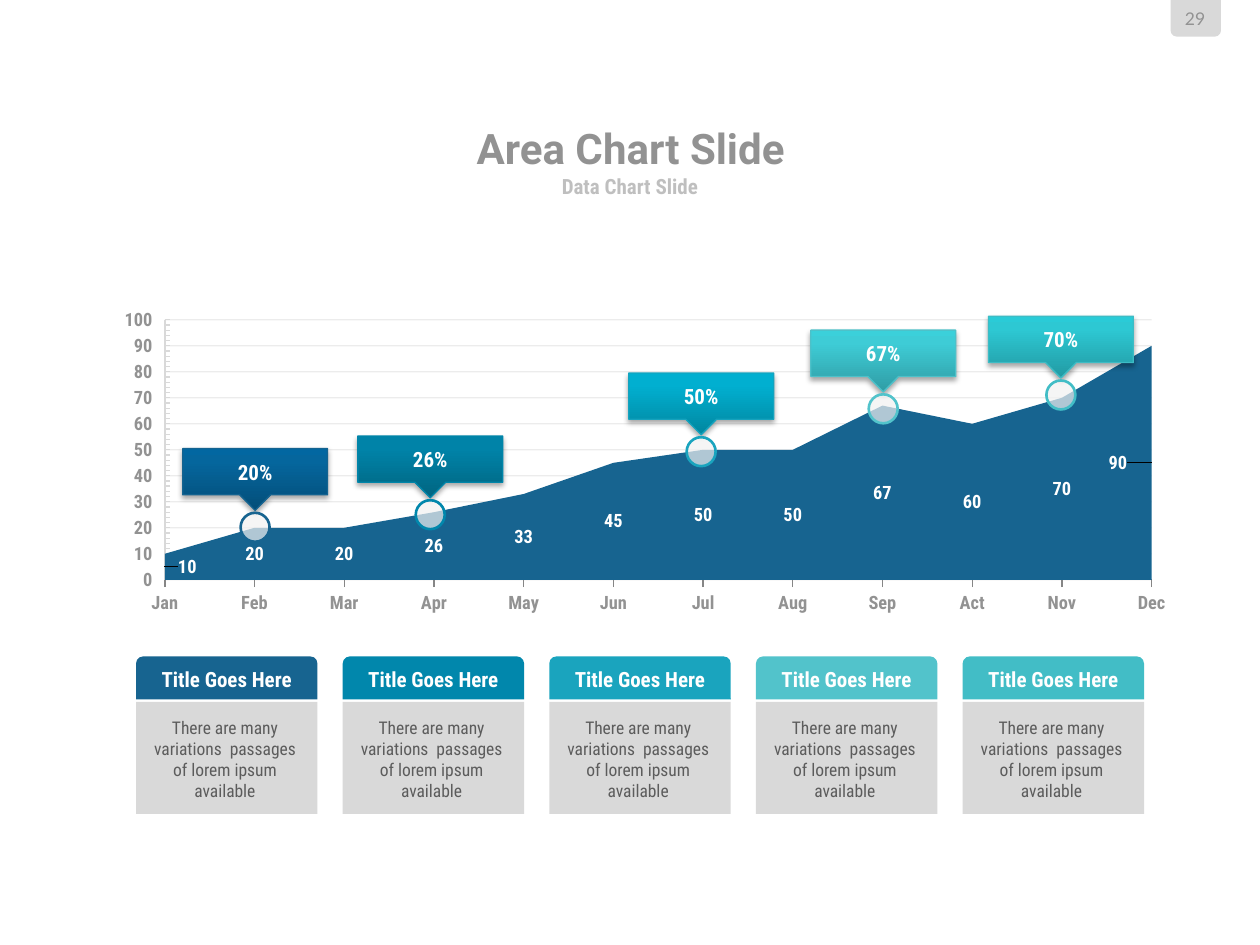
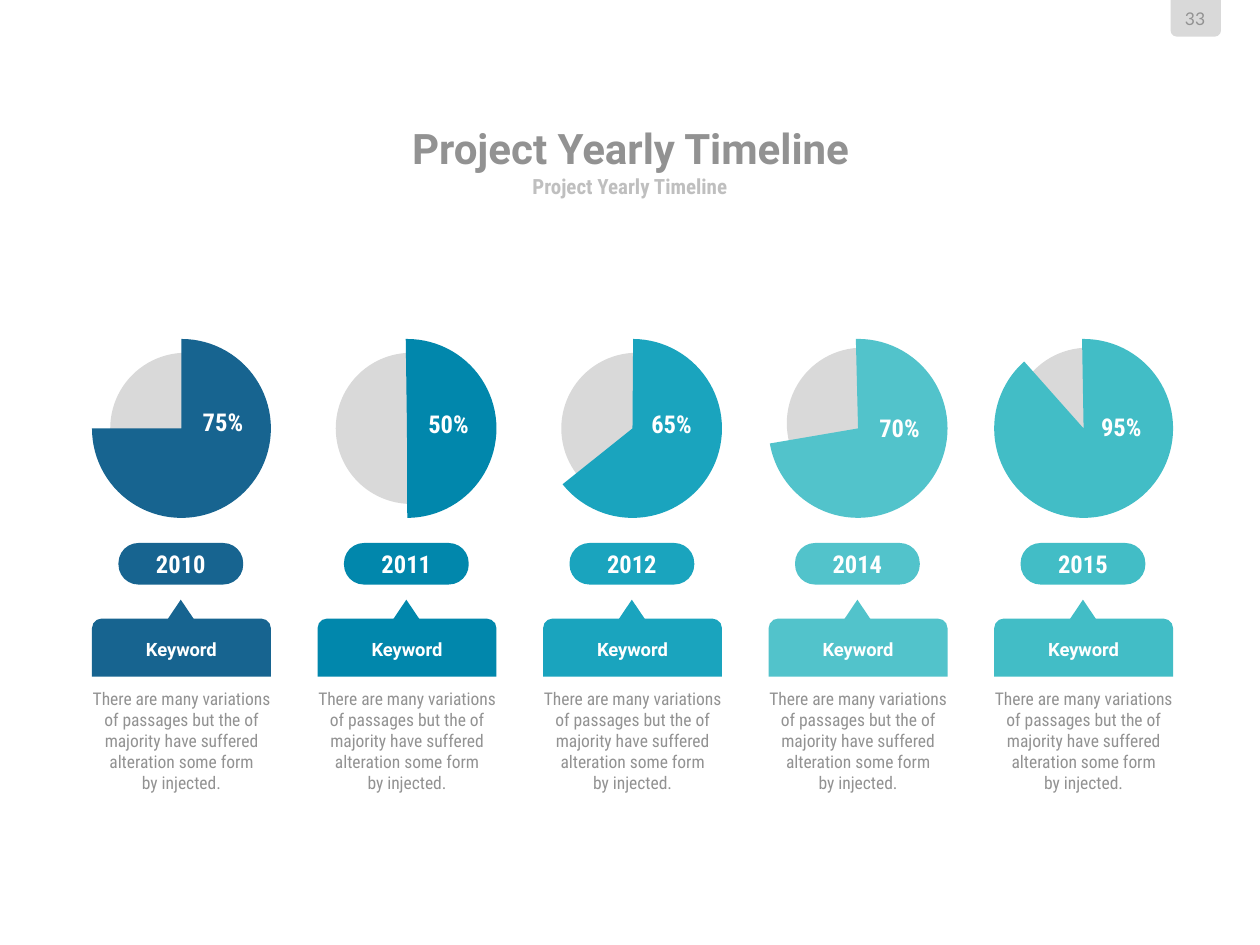
from dataclasses import dataclass

from pptx import Presentation
from pptx.chart.data import CategoryChartData
from pptx.dml.color import RGBColor
from pptx.enum.chart import XL_CHART_TYPE, XL_TICK_LABEL_POSITION as LabelPos, XL_TICK_MARK as Tick
from pptx.enum.shapes import MSO_SHAPE as Shape
from pptx.enum.text import MSO_ANCHOR as Anchor, PP_ALIGN as Align
from pptx.oxml import parse_xml
from pptx.oxml.ns import nsdecls
from pptx.util import Inches, Pt

# Shared look: a grid of 100 columns by 75 rows, palette and fonts
CELL = Inches(0.1)
COLUMNS, ROWS = 100, 75
ACCENTS = ["176490", "0187AC", "1AA4BE", "52C3CB", "42BDC6"]
GREY, PALE_GREY, PANEL, DARK_GREY, WHITE = "929292", "BFBFBF", "D9D9D9", "5C5C5C", "FFFFFF"
HEAD_FONT, BODY_FONT, NUMBER_FONT = "Roboto", "Roboto Condensed", "Lato"


@dataclass
class Box:
    """An area in grid cells."""
    x: float
    y: float
    w: float
    h: float

    def inner(self, x, y, w, h):
        return Box(self.x + x, self.y + y, w, h)

    def emu(self):
        return [round(length * CELL) for length in (self.x, self.y, self.w, self.h)]


def rgb(color):
    return RGBColor.from_string(color)


def set_font(font, size, color, bold=True, face=BODY_FONT):
    font.name, font.size, font.bold = face, Pt(size), bold
    font.color.rgb = rgb(color)


def set_alpha(color_element, percent):
    color_element.append(parse_xml(f'<a:alpha {nsdecls("a")} val="{percent * 1000}"/>'))


def write(frame, text, size, color, bold=True, face=BODY_FONT, anchor=Anchor.MIDDLE):
    frame.word_wrap = True
    frame.vertical_anchor = anchor
    paragraph = frame.paragraphs[0]
    paragraph.text = text
    paragraph.alignment = Align.CENTER
    set_font(paragraph.font, size, color, bold, face)


def add_label(slide, box, text, size, color, inset=True, **style):
    frame = slide.shapes.add_textbox(*box.emu()).text_frame
    if not inset:
        frame.margin_left = frame.margin_right = frame.margin_top = frame.margin_bottom = 0
    write(frame, text, size, color, **style)


def add_block(slide, kind, box, fill, adjustments=()):
    block = slide.shapes.add_shape(kind, *box.emu())
    block.shadow.inherit = False
    block.fill.solid()
    block.fill.fore_color.rgb = rgb(fill)
    block.line.fill.background()
    for index, value in enumerate(adjustments):
        block.adjustments[index] = value
    return block


def add_page(deck, number, title, subtitle):
    """Blank slide with the page number tab and the two headings."""
    slide = deck.slides.add_slide(deck.slide_layouts[6])
    tab = add_block(slide, Shape.ROUND_2_SAME_RECTANGLE, Box(92.9, 0, 4, 2.9), PANEL)
    tab.rotation = 180
    add_label(slide, Box(93.2, 0.6, 3.3, 1.7), number, 10, GREY, inset=False, bold=False, face=NUMBER_FONT)
    add_label(slide, Box(19.2, 9.8, 61.7, 3.9), title, 24, GREY, inset=False, face=HEAD_FONT)
    add_label(slide, Box(27.5, 13.7, 45, 2.2), subtitle, 12, PALE_GREY, inset=False)
    return slide


# Slide 1: area chart
MONTHS = ["Jan", "Feb", "Mar", "Apr", "May", "Jun", "Jul", "Aug", "Sep", "Act", "Nov", "Dec"]
MONTH_VALUES = [10, 20, 20, 26, 33, 45, 50, 50, 67, 60, 70, 90]
END_LABEL_SHIFTS = {0: 0.02, 11: -0.03}
CARD_TEXT = "There are many variations  passages of lorem ipsum available"
# Value, centre of the marker, gradient from bottom to top, outline
CALLOUTS = [
    ("20%", 20.25, 41.85, ("044E79", "05669D", "0267A1"), "146390"),
    ("26%", 34.15, 40.85, ("006581", "0083A8", "0084A8"), "0085A9"),
    ("50%", 55.65, 35.85, ("0187A0", "01AFD0", "00B1D2"), "15A3BE"),
    ("67%", 70.1, 32.45, ("309DA5", "3ECCD6", "3BD0DA"), "4DC1C9"),
    ("70%", 84.2, 31.35, ("229AA3", "2DC8D3", "2ACBD7"), "3DBCC5"),
]


def manual_layout(x, y, *size):
    """Layout of a data label (offset) or, with a size, of the plot area."""
    modes = ('<c:layoutTarget val="inner"/><c:xMode val="edge"/><c:yMode val="edge"/>'
             if size else "")
    lengths = "".join(f'<c:{tag} val="{value}"/>' for tag, value in zip("xywh", (x, y, *size)))
    return parse_xml(f'<c:layout {nsdecls("c")}><c:manualLayout>{modes}{lengths}'
                     '</c:manualLayout></c:layout>')


def add_month_chart(slide, box):
    data = CategoryChartData()
    data.categories = MONTHS
    data.add_series("Series 1", MONTH_VALUES)
    chart = slide.shapes.add_chart(XL_CHART_TYPE.AREA, *box.emu(), data).chart
    chart.has_legend = chart.has_title = False
    set_font(chart.font, 10.5, GREY)

    plot_area = chart.element.xpath("c:chart/c:plotArea")[0]
    for old_layout in plot_area.xpath("c:layout"):
        plot_area.remove(old_layout)
    plot_area.insert(0, manual_layout(0.093, 0.046, 0.879, 0.8))
    for crossing in plot_area.xpath("c:valAx/c:crossBetween"):
        crossing.set("val", "midCat")

    # Axes
    months, values = chart.category_axis, chart.value_axis
    months.has_major_gridlines = False
    months.major_tick_mark = Tick.OUTSIDE
    months.format.line.color.rgb = rgb("868686")
    values.minimum_scale, values.maximum_scale, values.major_unit = 0, 100, 10
    values.major_tick_mark, values.minor_tick_mark = Tick.NONE, Tick.INSIDE
    values.tick_label_position = LabelPos.LOW
    values.has_major_gridlines = True
    for line in (values.format.line, values.major_gridlines.format.line):
        line.color.rgb = rgb(PANEL)
        line.width = Pt(0.75)
    set_alpha(plot_area.xpath("c:valAx/c:majorGridlines//a:srgbClr")[0], 48)

    # Area and its value labels, the end ones moved inwards
    chart.plots[0].vary_by_categories = False
    area = chart.plots[0].series[0]
    area.format.fill.solid()
    area.format.fill.fore_color.rgb = rgb(ACCENTS[0])
    area.data_labels.show_value = True
    set_font(area.data_labels.font, 10.5, WHITE)
    for index in END_LABEL_SHIFTS:
        set_font(area.points[index].data_label.font, 10.5, WHITE)
    for label, shift in zip(plot_area.xpath(".//c:dLbl"), END_LABEL_SHIFTS.values()):
        label.insert(1, manual_layout(shift, 0))


def add_callout(slide, x, y, text, gradient, outline, ring):
    """Callout pointing at a round marker centred on x, y."""
    marker_box = Box(x - 1.15, y - 1.15, 2.3, 2.3)
    callout = add_block(slide, Shape.DOWN_ARROW_CALLOUT, marker_box.inner(-4.6, -5.1, 11.5, 4.9),
                        gradient[0], (0.5, 0.25, 0.25, 0.75))
    callout.fill.gradient()
    callout.fill.gradient_angle = 90
    properties = callout._element.spPr
    stops = properties.xpath("a:gradFill/a:gsLst")[0]
    for stop in list(stops):
        stops.remove(stop)
    for position, color in zip((0, 80, 100), gradient):
        stops.append(parse_xml(f'<a:gs {nsdecls("a")} pos="{position * 1000}">'
                               f'<a:srgbClr val="{color}"/></a:gs>'))
    callout.line.color.rgb = rgb(outline)
    callout.line.width = Pt(0.75)
    properties.xpath("a:effectLst")[0].append(parse_xml(
        f'<a:outerShdw {nsdecls("a")} blurRad="{Pt(3.1)}" dist="{Pt(1.8)}" dir="5400000" '
        'rotWithShape="0"><a:srgbClr val="000000"><a:alpha val="35000"/></a:srgbClr></a:outerShdw>'))
    write(callout.text_frame, text, 12, WHITE)

    marker = add_block(slide, Shape.OVAL, marker_box, "F2F2F2")
    set_alpha(marker._element.spPr.xpath("a:solidFill/a:srgbClr")[0], 70)
    marker.line.color.rgb = rgb(ring)
    marker.line.width = Pt(1.5)


def add_card(slide, box, accent):
    header = add_block(slide, Shape.ROUND_2_SAME_RECTANGLE, box.inner(0, 0, box.w, 3.4), accent)
    write(header.text_frame, "Title Goes Here", 12, WHITE)
    add_block(slide, Shape.RECTANGLE, box.inner(0, 3.6, box.w, 8.9), PANEL)
    add_label(slide, box.inner(0, 4.3, 14.1, 7.7), CARD_TEXT, 10, DARK_GREY,
              bold=False, anchor=Anchor.TOP)


def add_area_slide(deck):
    slide = add_page(deck, "29", "Area Chart Slide", "Data Chart Slide")
    add_month_chart(slide, Box(4.8, 24.2, 89.1, 25.8))
    for (text, x, y, gradient, outline), ring in zip(CALLOUTS, ACCENTS):
        add_callout(slide, x, y, text, gradient, outline, ring)
    for index, accent in enumerate(ACCENTS):
        add_card(slide, Box(10.8 + 16.4 * index, 52.1, 14.4, 12.5), accent)


# Slide 2: yearly timeline
YEAR_TEXT = "There are many variations of passages but the of majority have suffered alteration some form\vby injected."
# Year, share, start and end angle, row of the disc, column and row of the share
YEARS = [
    ("2010", "75%", 270, 180, 1.1, 7.7, 5.4),
    ("2011", "50%", 269.2, 89.8, 1.1, 7.7, 5.6),
    ("2012", "65%", 270.4, 141.4, 1.1, 7.5, 5.6),
    ("2014", "70%", 268.6, 170.3, 0.7, 7.7, 5.9),
    ("2015", "95%", 269, 228.4, 0.7, 7.4, 5.8),
]


def add_year(slide, box, accent, year, share, start, end, disc_row, share_column, share_row):
    # Share of the year
    add_block(slide, Shape.OVAL, box.inner(1.45, disc_row, 12, 12), PANEL)
    add_block(slide, Shape.PIE, box.inner(0, 0, box.w, box.w), accent, (start * 0.6, end * 0.6))
    add_label(slide, box.inner(share_column, share_row, 5.4, 2.4), share, 14, WHITE,
              inset=False, anchor=Anchor.TOP)
    # Year pill
    pill = add_block(slide, Shape.ROUNDED_RECTANGLE, box.inner(2.1, 16.2, 9.9, 3.3), accent, (0.48,))
    write(pill.text_frame, year, 14, WHITE)
    # Keyword and description
    add_block(slide, Shape.ISOSCELES_TRIANGLE, box.inner(5.5, 20.7, 3.1, 2.3), accent)
    keyword = add_block(slide, Shape.ROUND_2_SAME_RECTANGLE, box.inner(0, 22.2, box.w, 4.6), accent)
    write(keyword.text_frame, "Keyword", 10.5, WHITE, face=HEAD_FONT)
    add_label(slide, box.inner(-1.35, 27.2, 16.9, 9.4), YEAR_TEXT, 10, GREY,
              bold=False, anchor=Anchor.TOP)


def add_timeline_slide(deck):
    slide = add_page(deck, "33", "Project Yearly Timeline", "Project Yearly Timeline")
    for index, (accent, facts) in enumerate(zip(ACCENTS, YEARS)):
        add_year(slide, Box(7.3 + 17.9 * index, 26.9, 14.2, 36.6), accent, *facts)


def main():
    deck = Presentation()
    deck.slide_width, deck.slide_height = COLUMNS * CELL, ROWS * CELL
    add_area_slide(deck)
    add_timeline_slide(deck)
    deck.save("out.pptx")


if __name__ == "__main__":
    main()
